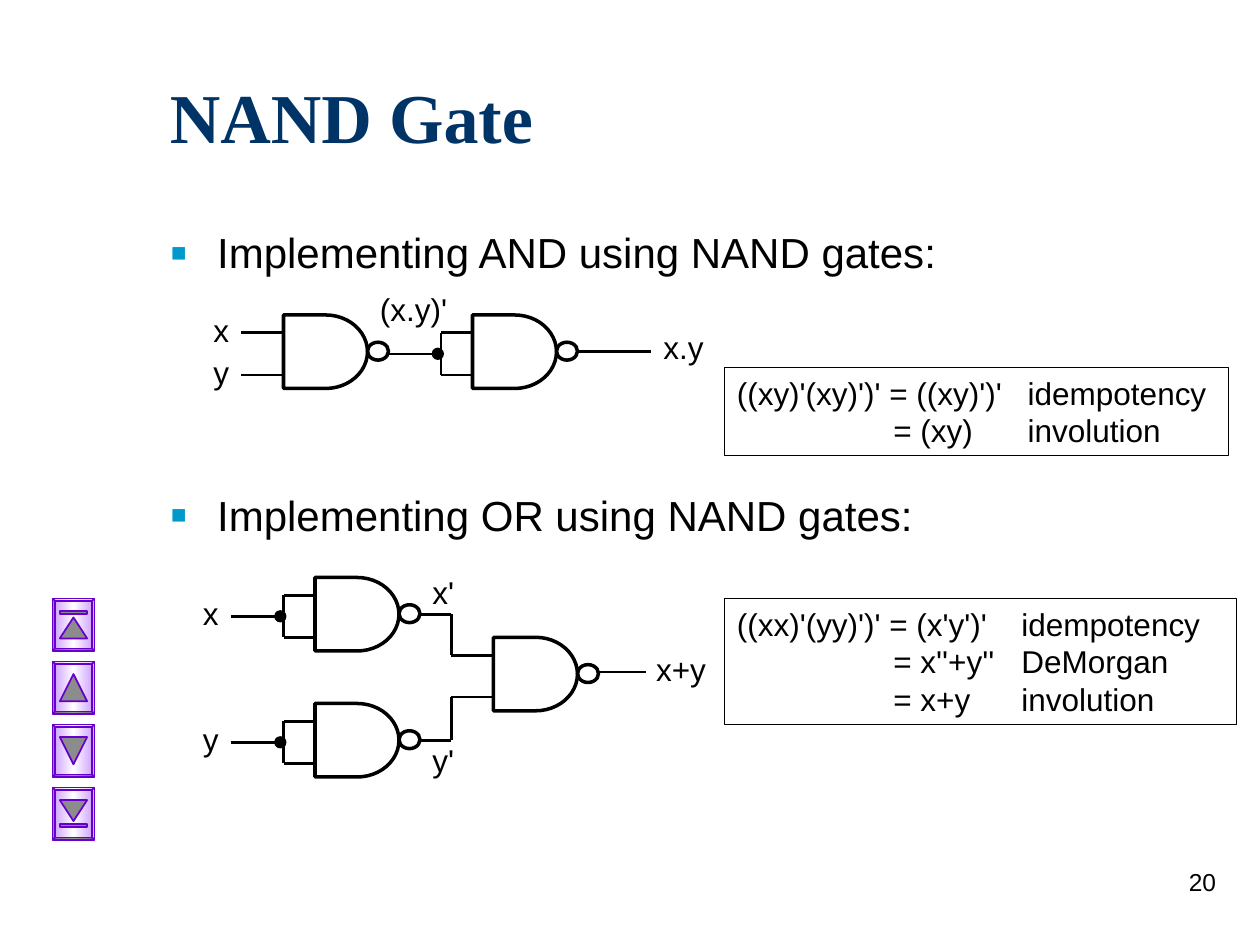
import pptx
import pptx.dml.color
import pptx.enum.shapes
import pptx.enum.text
import pptx.oxml
import pptx.oxml.ns
import pptx.util

RGB = pptx.dml.color.RGBColor
KIND = pptx.enum.shapes.MSO_SHAPE
ALIGN = pptx.enum.text.PP_ALIGN
SCALE = 7620  # 120 px to the inch

BLACK = RGB(0x00, 0x00, 0x00)
NAVY = RGB(0x00, 0x33, 0x66)
CYAN = RGB(0x00, 0x99, 0xCC)
LILAC = RGB(0xCC, 0x99, 0xFF)
WHITE = RGB(0xFF, 0xFF, 0xFF)
PURPLE = RGB(0x66, 0x00, 0xCC)
GRAY = RGB(0x8C, 0x8C, 0x8C)


def px(n):
    return pptx.util.Emu(n * SCALE)


def node(tag, inner="", **attrs):
    """Make one drawing element from its tag, content and attributes."""
    pairs = "".join(f' {k}="{v}"' for k, v in attrs.items())
    space = pptx.oxml.ns.nsdecls("a")
    return pptx.oxml.parse_xml(f"<a:{tag} {space}{pairs}>{inner}</a:{tag}>")


def shape(slide, kind, x, y, w, h, line=BLACK, wide=2, fill=None):
    part = slide.shapes.add_shape(kind, px(x), px(y), px(w), px(h))
    part.shadow.inherit = False
    part.line.color.rgb = line
    part.line.width = pptx.util.Pt(wide)
    if fill is None:
        part.fill.background()
    else:
        part.fill.solid()
        part.fill.fore_color.rgb = fill
    return part


def write(para, text, size=18, color=BLACK, face="Arial", bold=False):
    run = para.add_run()
    run.text = text
    run.font.size = pptx.util.Pt(size)
    run.font.name = face
    run.font.bold = bold
    run.font.color.rgb = color


def label(slide, x, y, w, h, text, align=ALIGN.LEFT, **style):
    """Add a text box of one line and return its frame."""
    frame = slide.shapes.add_textbox(px(x), px(y), px(w), px(h)).text_frame
    frame.word_wrap = True
    para = frame.paragraphs[0]
    para.alignment = align
    write(para, text, **style)
    return frame


def wire(slide, *points):
    """Join the points in turn with straight connectors."""
    for (ax, ay), (bx, by) in zip(points, points[1:]):
        line = slide.shapes.add_connector(
            pptx.enum.shapes.MSO_CONNECTOR.STRAIGHT, px(ax), px(ay), px(bx), px(by))
        line.line.color.rgb = BLACK
        line.line.width = pptx.util.Pt(1.5)
        line._element.spPr.append(node("effectLst"))


def title(slide, x, y, w, h):
    frame = label(slide, x, y, w, h, "NAND Gate", size=40, color=NAVY,
                  face="Times New Roman", bold=True)
    frame.vertical_anchor = pptx.enum.text.MSO_ANCHOR.MIDDLE


def bullet(slide, x, y, w, h, text):
    frame = label(slide, x, y, w, h, text, size=24)
    props = frame.paragraphs[0]._p.get_or_add_pPr()
    props.set("marL", str(px(45)))
    props.set("indent", str(-px(45)))
    for item in (node("buClr", f'<a:srgbClr val="{CYAN}"/>'),
                 node("buSzPct", val=120000),
                 node("buFont", typeface="Arial"),
                 node("buChar", char="▪")):
        props.append(item)


def proof(slide, x, y, w, h, stops, lines):
    """Add a framed derivation whose columns sit at the tab stops."""
    box = shape(slide, KIND.RECTANGLE, x, y, w, h, wide=0.75)
    frame = box.text_frame
    frame.word_wrap = True
    frame.vertical_anchor = pptx.enum.text.MSO_ANCHOR.TOP
    for i, text in enumerate(lines):
        para = frame.add_paragraph() if i else frame.paragraphs[0]
        para.alignment = ALIGN.LEFT
        tabs = node("tabLst")
        for stop in stops:
            tabs.append(node("tab", pos=px(stop), algn="l"))
        para._p.get_or_add_pPr().append(tabs)
        write(para, text)


def gate(slide, x, y):
    shape(slide, KIND.FLOWCHART_DELAY, x, y, 80, 70)
    shape(slide, KIND.OVAL, x + 80, y + 26, 20, 17)


def tied(slide, x, y):
    """Add a gate whose two inputs share one stem."""
    gate(slide, x, y)
    wire(slide, (x - 80, y + 37), (x - 30, y + 37))
    wire(slide, (x, y + 17), (x - 30, y + 17), (x - 30, y + 57), (x, y + 57))
    shape(slide, KIND.OVAL, x - 38, y + 32, 10, 10, wide=1, fill=BLACK)


def conj(slide, x, y):
    """Draw AND built from two NAND gates."""
    gate(slide, x + 80, y + 30)
    tied(slide, x + 260, y + 30)
    for name, top in (("x", 20), ("y", 60)):
        label(slide, x, y + top, 40, 48, name, ALIGN.RIGHT)
        wire(slide, (x + 40, y + top + 27), (x + 80, y + top + 27))
    wire(slide, (x + 360, y + 65), (x + 430, y + 65))
    label(slide, x + 160, y, 90, 48, "(x.y)'")
    label(slide, x + 430, y + 37, 70, 48, "x.y")


def disj(slide, x, y):
    """Draw OR built from three NAND gates."""
    for name, top, port, note in (("x", 10, 84, 0), ("y", 130, 124, 160)):
        tied(slide, x + 120, y + top)
        label(slide, x, y + top + 10, 40, 48, name, ALIGN.RIGHT)
        label(slide, x + 220, y + note, 50, 48, name + "'")
        wire(slide, (x + 220, y + top + 35), (x + 250, y + top + 35),
             (x + 250, y + port), (x + 290, y + port))
    gate(slide, x + 290, y + 67)
    wire(slide, (x + 390, y + 100), (x + 435, y + 100))
    label(slide, x + 433, y + 73, 80, 48, "x+y")


def button(slide, x, y, kind, top, tall, bar=None):
    """Add a bevelled button with an arrow and perhaps a bar."""
    base = shape(slide, KIND.BEVEL, x - 5, y + 5, 50, 40, PURPLE, 1)
    base.adjustments[0] = 0.06
    base.rotation = 90
    base.fill.gradient()
    base.fill.gradient_angle = 270
    stops = base._element.spPr.find(pptx.oxml.ns.qn("a:gradFill")).find(
        pptx.oxml.ns.qn("a:gsLst"))
    for old in list(stops):
        stops.remove(old)
    for pos, color in ((0, LILAC), (50000, WHITE), (100000, LILAC)):
        stops.append(node("gs", f'<a:srgbClr val="{color}"/>', pos=pos))
    shape(slide, kind, x + 7, y + top, 26, tall, PURPLE, 1, GRAY)
    if bar is not None:
        shape(slide, KIND.RECTANGLE, x + 7, y + bar, 26, 3, PURPLE, 1, GRAY)


def menu(slide, x, y):
    up, down = KIND.ISOSCELES_TRIANGLE, KIND.FLOWCHART_MERGE
    icons = ((up, 18, 20, 12), (up, 12, 26), (down, 12, 26), (down, 12, 20, 35))
    for i, icon in enumerate(icons):
        button(slide, x, y + 60 * i, *icon)


def main():
    deck = pptx.Presentation()
    deck.slide_width, deck.slide_height = px(1200), px(900)
    slide = deck.slides.add_slide(deck.slide_layouts[6])
    title(slide, 150, 60, 1020, 100)
    proof(slide, 690, 350, 480, 84, (149, 277), (
        "((xy)'(xy)')' = ((xy)')'\tidempotency",
        "\t= (xy)\tinvolution"))
    proof(slide, 690, 570, 488, 120, (149, 271), (
        "((xx)'(yy)')' = (x'y')'\tidempotency",
        "\t= x''+y''\tDeMorgan",
        "\t= x+y\tinvolution"))
    bullet(slide, 150, 210, 1020, 75, "Implementing AND using NAND gates:")
    bullet(slide, 150, 460, 1020, 70, "Implementing OR using NAND gates:")
    conj(slide, 190, 270)
    disj(slide, 180, 540)
    menu(slide, 50, 570)
    label(slide, 920, 820, 250, 60, "20", ALIGN.RIGHT, size=14)
    deck.save("out.pptx")


if __name__ == "__main__":
    main()
